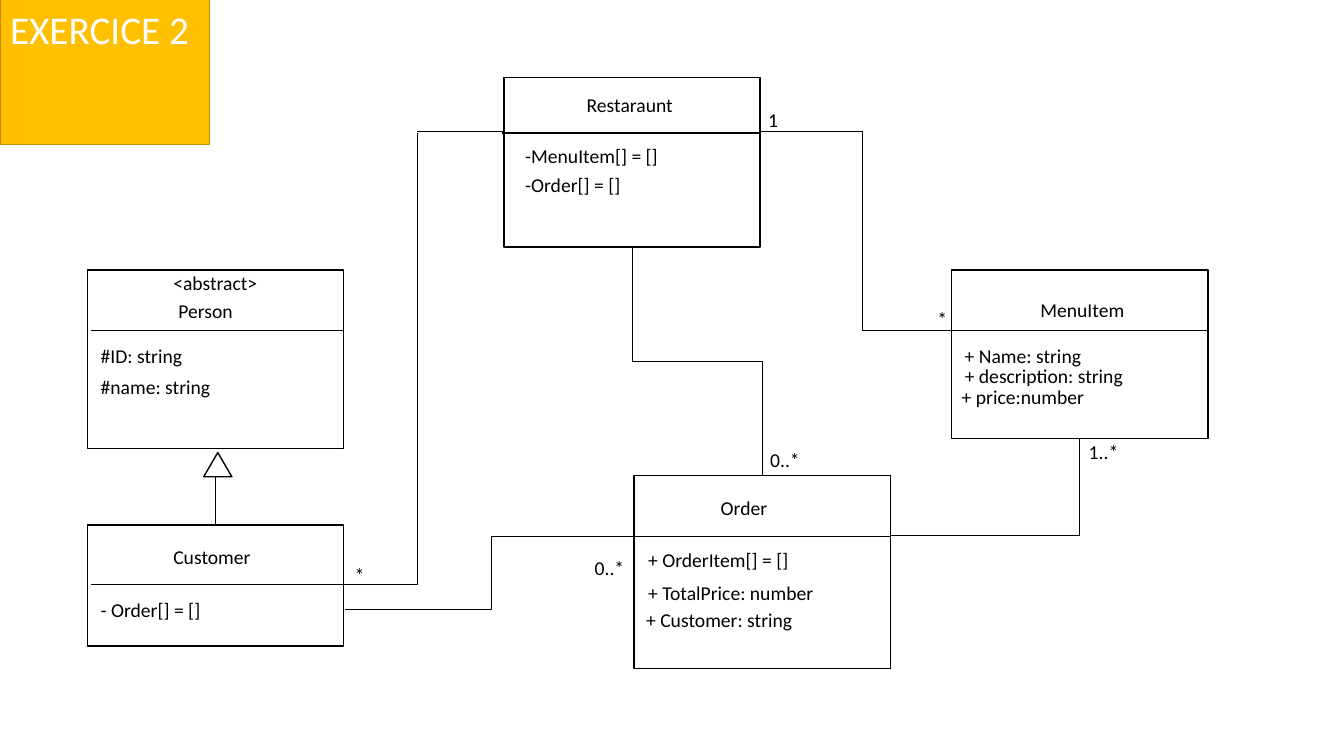
from typing import NamedTuple

from lxml import etree
from pptx import Presentation
from pptx.dml.color import RGBColor
from pptx.enum.shapes import MSO_CONNECTOR, MSO_SHAPE
from pptx.enum.text import MSO_ANCHOR, MSO_AUTO_SIZE, PP_ALIGN
from pptx.oxml.ns import qn
from pptx.util import Emu, Pt

PX = 9144  # EMU per px, 100 px to the inch
FONT = "Calibri"
BLACK = RGBColor(0x00, 0x00, 0x00)
WHITE = RGBColor(0xFF, 0xFF, 0xFF)
GOLD = RGBColor(0xFF, 0xC0, 0x00)
BROWN = RGBColor(0xBD, 0x8E, 0x00)
RECT = MSO_SHAPE.RECTANGLE
ARROW = MSO_SHAPE.ISOSCELES_TRIANGLE
STRAIGHT = MSO_CONNECTOR.STRAIGHT
ELBOW = MSO_CONNECTOR.ELBOW
LEFT = PP_ALIGN.LEFT
MIDDLE = MSO_ANCHOR.MIDDLE
GROW = MSO_AUTO_SIZE.SHAPE_TO_FIT_TEXT
BOX_W = 254
LABEL_H = 34


class Label(NamedTuple):
    text: str
    x: int
    y: int
    w: int


class Box(NamedTuple):
    x: int
    y: int
    h: int
    rule: int  # height of the line under the name
    inset: int  # start of that line from the left side
    labels: list[Label]


class Bend(NamedTuple):
    x1: int
    y1: int
    x2: int
    y2: int
    kind: str = "bentConnector3"
    down: bool = False  # leaves downwards, not sideways


PERSON = Box(87, 268, 177, 328, 3, [
    Label("<abstract>", 162, 264, 105),
    Label("Person", 167, 292, 75),
    Label("#ID: string", 90, 336, 102),
    Label("#name: string", 90, 367, 130),
])
DINER = Box(500, 77, 168, 132, -2, [
    Label("Restaraunt", 572, 87, 107),
    Label("-MenuItem[] = []", 511, 138, 153),
    Label("-Order[] = []", 511, 167, 115),
])
CLIENT = Box(87, 521, 120, 580, 3, [
    Label("Customer", 162, 536, 98),
    Label("- Order[] = []", 90, 588, 120),
])
MENU = Box(944, 268, 167, 328, 3, [
    Label("MenuItem", 1022, 291, 104),
    Label("+ Name: string", 947, 336, 137),
    Label("+ description: string", 947, 356, 179),
    Label("+ price:number", 944, 377, 143),
])
ORDER = Box(629, 472, 191, 532, 4, [
    Label("Order", 705, 487, 67),
    Label("+ OrderItem[] = []", 633, 539, 160),
    Label("+ TotalPrice: number", 633, 571, 186),
    Label("+ Customer: string", 631, 598, 167),
])
BENDS = [
    Bend(754, 130, 957, 328),
    Bend(342, 605, 633, 532),
    Bend(414, 132, 341, 580, "bentConnector2", True),
    Bend(1071, 435, 883, 532, "bentConnector2", True),
    Bend(627, 245, 756, 472, down=True),
]
COUNTS = [
    Label("*", 342, 554, 30),
    Label("1", 752, 102, 30),
    Label("*", 920, 300, 30),
    Label("0..*", 580, 547, 50),
    Label("1..*", 1070, 432, 50),
    Label("0..*", 754, 439, 50),
]


def px(*sizes: int) -> list[Emu]:
    return [Emu(size * PX) for size in sizes]


def write(shape, text: str, size: int, color: RGBColor) -> None:
    frame = shape.text_frame
    frame.text = text
    frame.word_wrap = False
    frame.auto_size = GROW
    para = frame.paragraphs[0]
    para.alignment = LEFT
    para.font.name = FONT
    para.font.size = Pt(size)
    para.font.color.rgb = color


def paint(shape, fill: RGBColor, edge: RGBColor) -> None:
    shape.fill.solid()
    shape.fill.fore_color.rgb = fill
    shape.line.color.rgb = edge
    shape.line.width = Pt(1)


def add_shape(slide, kind: MSO_SHAPE, x: int, y: int, w: int, h: int):
    shape = slide.shapes.add_shape(kind, *px(x, y, w, h))
    shape.shadow.inherit = False
    paint(shape, WHITE, BLACK)
    return shape


def add_label(slide, label: Label) -> None:
    area = px(label.x, label.y, label.w, LABEL_H)
    write(slide.shapes.add_textbox(*area), label.text, 14, BLACK)


def add_line(slide, x1: int, y1: int, x2: int, y2: int,
             width: float = 1, kind: MSO_CONNECTOR = STRAIGHT):
    line = slide.shapes.add_connector(kind, *px(x1, y1, x2, y2))
    line.line.color.rgb = BLACK
    line.line.width = Pt(width)
    etree.SubElement(line.element.spPr, qn("a:effectLst"))
    return line


def add_box(slide, box: Box):
    shape = add_shape(slide, RECT, box.x, box.y, BOX_W, box.h)
    add_line(slide, box.x + box.inset, box.rule, box.x + BOX_W, box.rule)
    for label in box.labels:
        add_label(slide, label)
    return shape


def add_bend(slide, bend: Bend) -> None:
    x1, y1, x2, y2, kind, down = bend
    if not down:
        add_line(slide, x1, y1, x2, y2, 0.5, ELBOW)
        return
    # Lay the frame on its side about its centre, then turn it
    w, h = y2 - y1, abs(x2 - x1)
    left, top = (x1 + x2 - w) // 2, (y1 + y2 - h) // 2
    line = add_line(slide, left, top, left + w, top + h, 0.5, ELBOW)
    frame = line.element.spPr.find(qn("a:xfrm"))
    if x2 > x1:
        frame.set("rot", str(270 * 60000))
        frame.set("flipH", "1")
    else:
        frame.set("rot", str(90 * 60000))
    line.element.spPr.find(qn("a:prstGeom")).set("prst", kind)


def main() -> None:
    deck = Presentation()
    deck.slide_width, deck.slide_height = px(1333, 750)
    slide = deck.slides.add_slide(deck.slide_layouts[5])

    # Title
    title = slide.shapes.title
    title.left, title.top, title.width, title.height = px(0, 0, 208, 57)
    paint(title, GOLD, BROWN)
    write(title, "EXERCICE 2", 28, WHITE)
    title.text_frame.vertical_anchor = MIDDLE

    # Classes
    for box in (PERSON, DINER, MENU, ORDER):
        add_box(slide, box)
    client = add_box(slide, CLIENT)

    # Customer inherits from Person
    add_shape(slide, ARROW, 202, 449, 28, 24)
    add_line(slide, 214, 472, 214, 521).end_connect(client, 0)

    # Links and their counts
    add_line(slide, 500, 130, 414, 130, 0.5)
    for bend in BENDS:
        add_bend(slide, bend)
    for count in COUNTS:
        add_label(slide, count)

    deck.save("out.pptx")


if __name__ == "__main__":
    main()
